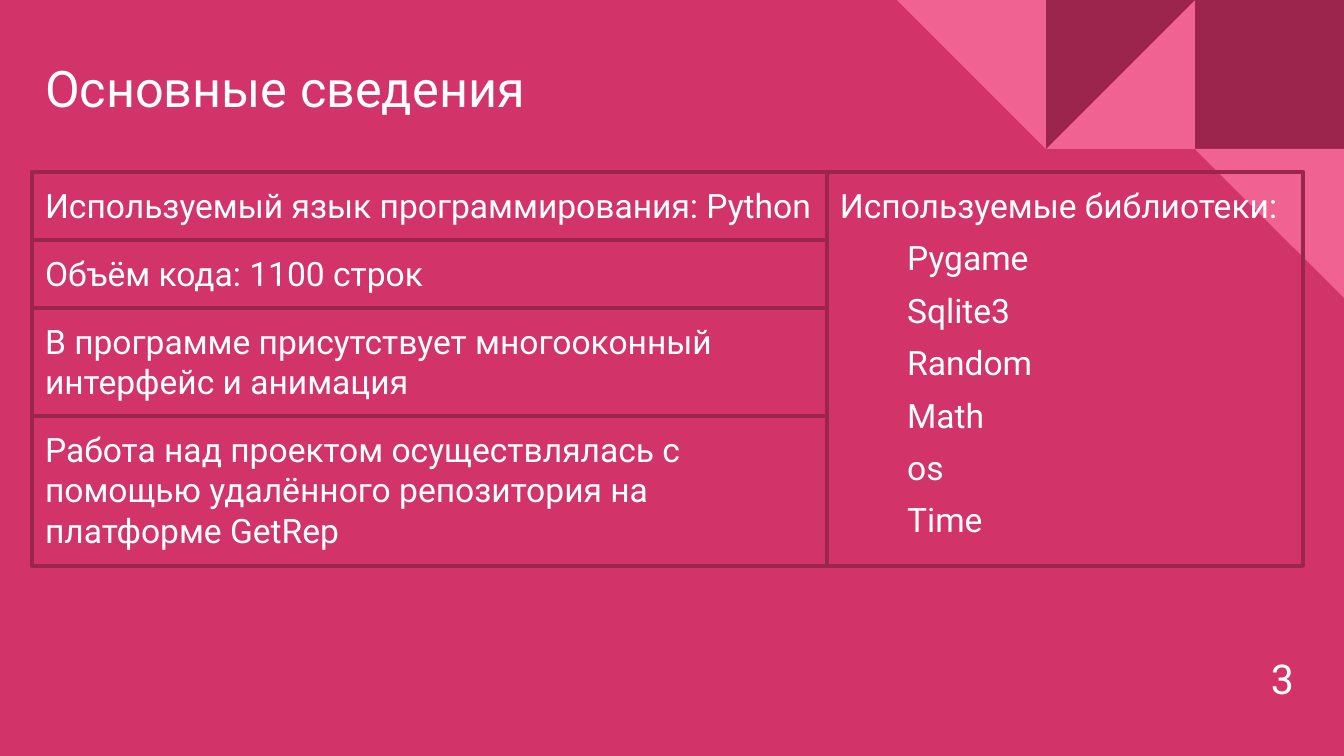
from pptx import Presentation
from pptx.dml.color import RGBColor
from pptx.enum.shapes import MSO_SHAPE
from pptx.enum.text import MSO_ANCHOR, MSO_AUTO_SIZE, PP_ALIGN
from pptx.util import Inches, Pt

COLORS = {"background": "D23369", "dark": "9C254D", "light": "F06292", "text": "FFFFFF"}
FONT = "Roboto"
PX = 914400 / 134.4
WIDTH, HEIGHT = 1344, 756
INSET = 13
TILE = 149

FACTS = [
    ("Используемый язык программирования: Python", 68),
    ("Объём кода: 1100 строк", 68),
    ("В программе присутствует многооконный интерфейс и анимация", 108),
    ("Работа над проектом осуществлялась с помощью удалённого репозитория на платформе GetRep", 150),
]
LIBRARIES = ["Pygame", "Sqlite3", "Random", "Math", "os", "Time"]
TILES = [
    (2, 0, MSO_SHAPE.RECTANGLE, 0, "dark"),
    (1, 0, MSO_SHAPE.RIGHT_TRIANGLE, 270, "light"),
    (1, 0, MSO_SHAPE.RIGHT_TRIANGLE, 90, "dark"),
    (0, 0, MSO_SHAPE.RIGHT_TRIANGLE, 180, "light"),
    (2, 1, MSO_SHAPE.RIGHT_TRIANGLE, 180, "light"),
]


def emu(pixels):
    return round(pixels * PX)


def color(name):
    return RGBColor.from_string(COLORS[name])


def write(shape, lines, size, anchor=MSO_ANCHOR.TOP):
    frame = shape.text_frame
    frame.text = "\n".join(lines)
    frame.word_wrap = True
    frame.auto_size = MSO_AUTO_SIZE.NONE
    frame.vertical_anchor = anchor
    frame.margin_left = frame.margin_right = emu(INSET)
    frame.margin_top = frame.margin_bottom = emu(INSET)
    for paragraph in frame.paragraphs:
        paragraph.alignment = PP_ALIGN.LEFT
        for run in paragraph.runs:
            run.font.name = FONT
            run.font.size = Pt(size)
            run.font.color.rgb = color("text")


def add_corner(slide, left, top):
    for column, row, kind, rotation, fill in TILES:
        tile = slide.shapes.add_shape(
            kind, emu(left + column * TILE), emu(top + row * TILE), emu(TILE), emu(TILE))
        tile.rotation = rotation
        tile.shadow.inherit = False
        tile.fill.solid()
        tile.fill.fore_color.rgb = color(fill)
        tile.line.fill.background()


def add_title(slide, left, top, width, height):
    title = slide.shapes.title
    title.left, title.top, title.width, title.height = map(emu, (left, top, width, height))
    write(title, ["Основные сведения"], 27, MSO_ANCHOR.MIDDLE)


def add_panel(slide, left, top, width, height, lines):
    panel = slide.shapes.add_shape(
        MSO_SHAPE.RECTANGLE, emu(left), emu(top), emu(width), emu(height))
    panel.shadow.inherit = False
    panel.fill.background()
    panel.line.color.rgb = color("dark")
    panel.line.width = Pt(2.25)
    write(panel, lines, 18)
    return panel


def add_facts(slide, left, top, width):
    for fact, height in FACTS:
        add_panel(slide, left, top, width, height, [fact])
        top += height


def add_libraries(slide, left, top, width, height):
    panel = add_panel(slide, left, top, width, height, ["Используемые библиотеки:", *LIBRARIES])
    for paragraph in panel.text_frame.paragraphs[1:]:
        paragraph.line_spacing = 1.3
        properties = paragraph._p.get_or_add_pPr()
        properties.set("marL", "0")
        properties.set("indent", str(Inches(0.5)))


def add_page_number(slide, left, top, width, height):
    number = slide.shapes.add_textbox(emu(left), emu(top), emu(width), emu(height))
    write(number, ["3"], 22)


def main():
    presentation = Presentation()
    presentation.slide_width, presentation.slide_height = emu(WIDTH), emu(HEIGHT)
    slide = presentation.slides.add_slide(presentation.slide_layouts[5])
    slide.background.fill.solid()
    slide.background.fill.fore_color.rgb = color("background")

    facts_height = sum(height for _, height in FACTS)
    add_corner(slide, WIDTH - 3 * TILE, 0)
    add_title(slide, 32, 32, 563, 110)
    add_facts(slide, 32, 172, 795)
    add_libraries(slide, 827, 172, 476, facts_height)
    add_page_number(slide, 1258, 640, 60, 77)
    presentation.save("out.pptx")


if __name__ == "__main__":
    main()
